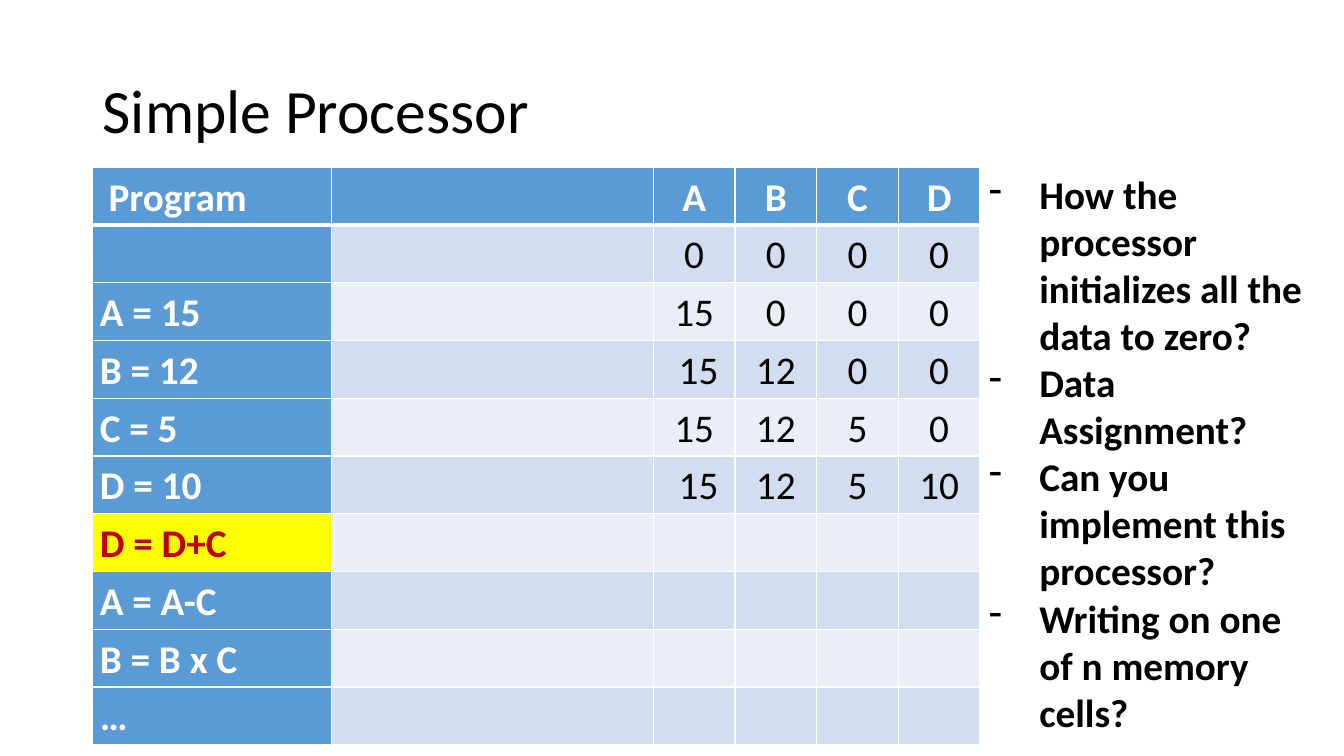
from lxml.etree import SubElement
from pptx import Presentation
from pptx.dml.color import RGBColor
from pptx.enum.text import MSO_ANCHOR, PP_ALIGN
from pptx.oxml.ns import qn
from pptx.util import Inches, Pt

COLORS = {
    "black": "000000", "white": "FFFFFF", "blue": "5B9BD5",
    "dark band": "D2DEEF", "light band": "EAEFF7",
    "yellow": "FFFF00", "red": "C00000",
}
FONT = "Calibri"
SLIDE_WIDTH, SLIDE_HEIGHT = 13.33, 7.5

# Boxes: left, top, width, height in inches
TITLE_BOX = (0.92, 0.4, 11.5, 1.45)
TABLE_BOX = (0.92, 1.66, 8.8, 5.73)
QUESTIONS_BOX = (9.71, 1.64, 3.47, 5.76)

COLUMN_WIDTHS = (2.37, 3.19, 0.81, 0.81, 0.81, 0.81)
HIGHLIGHTED = "D = D+C"
# Each row: instruction, then the contents of A, B, C and D
PROGRAM = [
    (" Program", "A", "B", "C", "D"),
    ("", "0", "0", "0", "0"),
    ("A = 15", "15", "0", "0", "0"),
    ("B = 12", " 15", "12", "0", "0"),
    ("C = 5", "15", "12", "5", "0"),
    ("D = 10", " 15", "12", "5", "10"),
    (HIGHLIGHTED,),
    ("A = A-C",),
    ("B = B x C",),
    ("…",),
]
QUESTIONS = [
    "How the processor initializes all the data to zero?",
    "Data Assignment?",
    "Can you implement this processor?",
    "Writing on one of n memory cells?",
]


def rgb(name):
    return RGBColor.from_string(COLORS[name])


def write(para, text, size=28, color="black", bold=False):
    span = para.add_run()
    span.text = text
    for name, value in {"name": FONT, "size": Pt(size), "bold": bold}.items():
        setattr(span.font, name, value)
    span.font.color.rgb = rgb(color)


def add_text_frame(page, box):
    frame = page.shapes.add_textbox(*map(Inches, box)).text_frame
    frame.word_wrap = True
    return frame


def add_title(page, box, text):
    frame = add_text_frame(page, box)
    frame.vertical_anchor = MSO_ANCHOR.MIDDLE
    para = frame.paragraphs[0]
    para.line_spacing = 0.9
    write(para, text, size=44)


def set_borders(cell, widths):
    properties = cell._tc.get_or_add_tcPr()
    for side, width in widths.items():
        line = SubElement(properties, qn(f"a:ln{side}"), w=str(Pt(width)))
        paint = SubElement(line, qn("a:solidFill"))
        SubElement(paint, qn("a:srgbClr"), val=COLORS["white"])


def cell_colors(row, column, text):
    """Return the fill and the text colour of a cell."""
    if text == HIGHLIGHTED:
        return "yellow", "red"
    if row == 0 or column == 0:
        return "blue", "white"
    return ("dark band" if row % 2 else "light band"), "black"


def format_cell(cell, row, column, text):
    layout = {
        "margin_left": Inches(0.07), "margin_right": Inches(0.07),
        "margin_top": 0, "margin_bottom": 0,
        "vertical_anchor": MSO_ANCHOR.MIDDLE,
    }
    for name, value in layout.items():
        setattr(cell, name, value)
    # A thick rule parts the header from the body
    set_borders(cell, {"L": 1, "R": 1, "T": 3 if row == 1 else 1,
                       "B": 3 if row == 0 else 1})
    fill, color = cell_colors(row, column, text)
    cell.fill.solid()
    cell.fill.fore_color.rgb = rgb(fill)
    if text:
        para = cell.text_frame.paragraphs[0]
        para.line_spacing = 1.07
        para.alignment = PP_ALIGN.CENTER if column else PP_ALIGN.LEFT
        write(para, text, color=color, bold=row == 0 or column == 0)


def add_program_table(page, box, program):
    table = page.shapes.add_table(
        len(program), len(COLUMN_WIDTHS), *map(Inches, box)).table
    table.horz_banding = False
    for column, width in zip(table.columns, COLUMN_WIDTHS):
        column.width = Inches(width)
    for row, (instruction, *registers) in enumerate(program):
        table.rows[row].height = Inches(box[3] / len(program))
        # The second column stays empty
        texts = [instruction, "", *registers]
        for column in range(len(COLUMN_WIDTHS)):
            text = texts[column] if column < len(texts) else ""
            format_cell(table.cell(row, column), row, column, text)


def add_questions(page, box, questions):
    frame = add_text_frame(page, box)
    for index, question in enumerate(questions):
        para = frame.add_paragraph() if index else frame.paragraphs[0]
        properties = para._p.get_or_add_pPr()
        properties.set("marL", str(Inches(0.5)))
        properties.set("indent", str(Inches(-0.5)))
        SubElement(properties, qn("a:buFontTx"))
        SubElement(properties, qn("a:buChar"), char="-")
        write(para, question, bold=True)


def main():
    deck = Presentation()
    deck.slide_width = Inches(SLIDE_WIDTH)
    deck.slide_height = Inches(SLIDE_HEIGHT)
    page = deck.slides.add_slide(deck.slide_layouts[6])
    add_title(page, TITLE_BOX, "Simple Processor")
    add_program_table(page, TABLE_BOX, PROGRAM)
    add_questions(page, QUESTIONS_BOX, QUESTIONS)
    deck.save("out.pptx")


if __name__ == "__main__":
    main()
